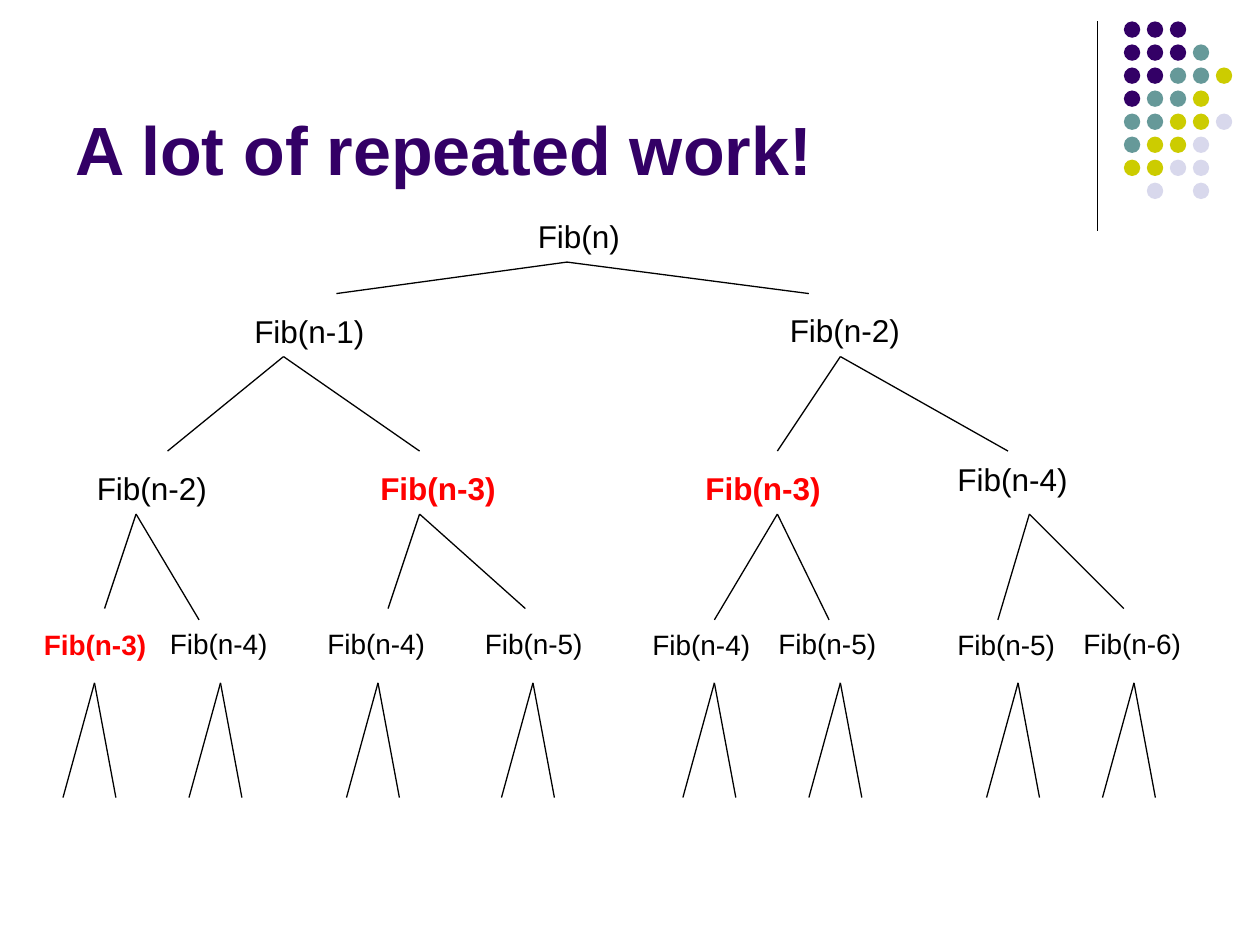
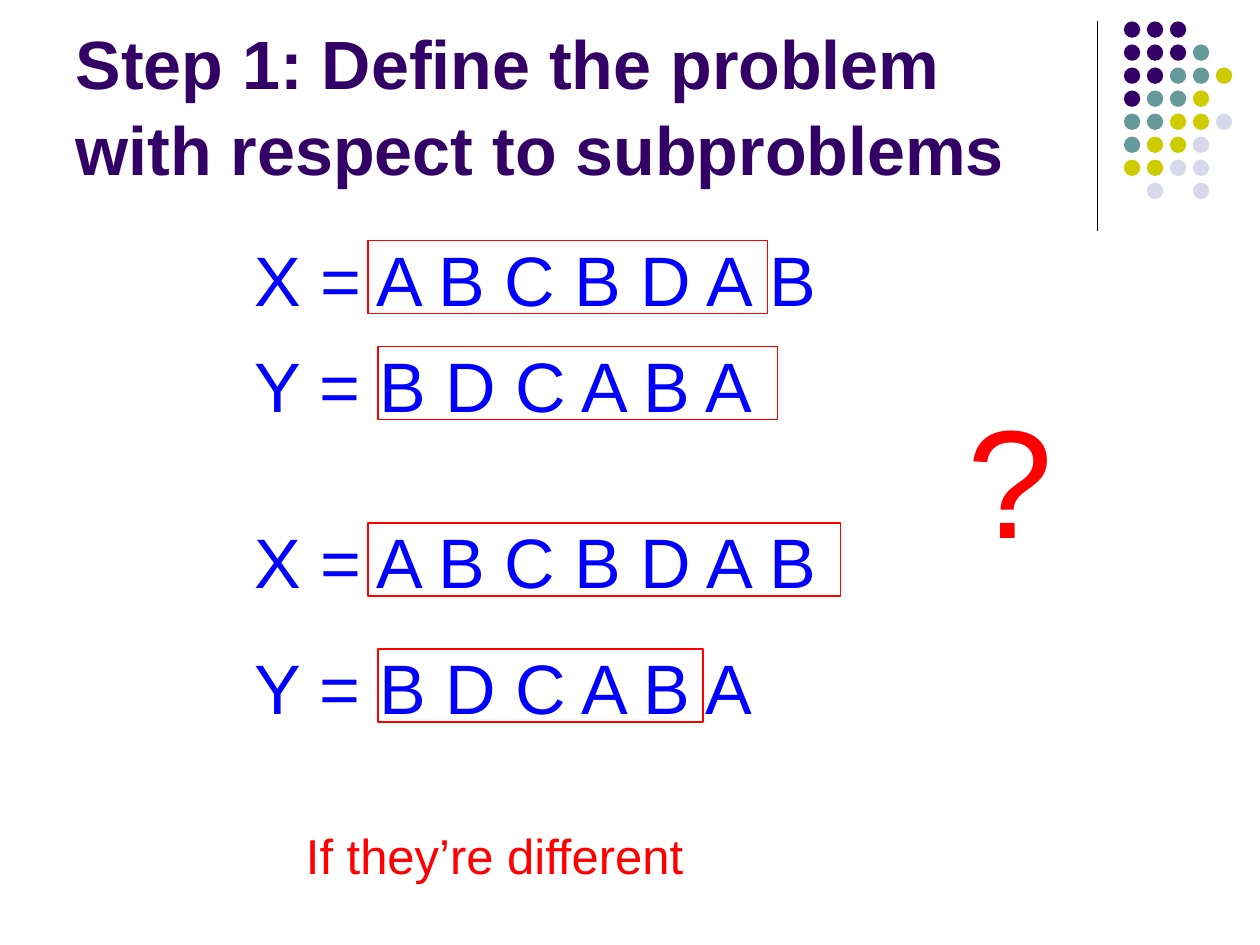
import collections

import pptx
import pptx.dml.color
import pptx.enum.shapes
import pptx.enum.text
import pptx.oxml
import pptx.oxml.ns
import pptx.util

Inches = pptx.util.Inches
Box = collections.namedtuple("Box", "left top width height")
Node = collections.namedtuple("Node", "left top apex branches")

FONT = "Arial"
COLORS = {
    "purple": "330066",
    "teal": "669999",
    "olive": "CCCC00",
    "lavender": "D8D8EC",
    "black": "000000",
    "red": "FF0000",
    "blue": "0000FF",
}
TITLE_BOX = Box(0.5, 0.13, 8.25, 1.42)
DIVIDER_BOX = Box(8.71, 0.17, 0, 1.66)
DOTS_BOX = Box(8.92, 0.17, 0.86, 1.41)
TREE_BOX = Box(0.25, 1.67, 9.25, 4.66)
FIRST_PAIR_BOX = Box(1.92, 1.83, 5.17, 1.61)
SECOND_PAIR_BOX = Box(1.92, 4.07, 5.17, 1.77)

DOT_SIZE = 0.13
DOT_COLORS = {"p": "purple", "t": "teal", "o": "olive", "l": "lavender"}
DOT_ROWS = ["ppp", "pppt", "pptto", "ptto", "ttool", "tool", "ooll", " l l"]

REPEATED_OFFSET = 3
APEX_TOPS = [0.41, 1.16, 2.41, 3.75]
LEAF_BRANCHES = [(-0.25, 0.91), (0.17, 0.91)]
LEAF_PLACES = [
    (0, 3.26, 0.5), (1, 3.25, 1.5), (2.25, 3.25, 2.75), (3.5, 3.25, 3.98),
    (4.83, 3.26, 5.42), (5.83, 3.25, 6.42), (7.25, 3.26, 7.83), (8.25, 3.25, 8.75),
]
TREE_LEVELS = [
    [Node(3.92, 0, 4.25, [(-1.83, 0.25), (1.92, 0.25)])],
    [
        Node(1.67, 0.76, 2, [(-0.92, 0.75), (1.08, 0.75)]),
        Node(5.92, 0.75, 6.42, [(-0.5, 0.75), (1.33, 0.75)]),
    ],
    [
        Node(0.42, 2, 0.83, [(-0.25, 0.75), (0.5, 0.84)]),
        Node(2.67, 2, 3.08, [(-0.25, 0.75), (0.84, 0.75)]),
        Node(5.25, 2, 5.92, [(-0.5, 0.84), (0.41, 0.84)]),
        Node(7.25, 1.93, 7.92, [(-0.25, 0.84), (0.75, 0.75)]),
    ],
    [Node(*place, LEAF_BRANCHES) for place in LEAF_PLACES],
]


def rgb(name):
    """Return the named colour as an RGB value."""
    return pptx.dml.color.RGBColor.from_string(COLORS[name])


def place(shape, box):
    """Move and size a shape to a box given in inches."""
    shape.left, shape.top, shape.width, shape.height = map(Inches, box)


def write_text(text_frame, text, size=18, color="black", bold=False, line_spacing=None):
    """Write one left-aligned, wrapped paragraph into a text frame."""
    text_frame.word_wrap = True
    paragraph = text_frame.paragraphs[0]
    paragraph.alignment = pptx.enum.text.PP_ALIGN.LEFT
    paragraph.line_spacing = line_spacing
    run = paragraph.add_run()
    run.text = text
    run.font.name = FONT
    run.font.size = pptx.util.Pt(size)
    run.font.bold = bold
    run.font.color.rgb = rgb(color)


def add_label(slide, box, text, **text_format):
    """Add a text box with formatted text."""
    shape = slide.shapes.add_textbox(*map(Inches, box))
    write_text(shape.text_frame, text, **text_format)


def add_line(slide, start, end):
    """Add a thin black line without a shadow."""
    connector = slide.shapes.add_connector(
        pptx.enum.shapes.MSO_CONNECTOR.STRAIGHT, *map(Inches, (*start, *end))
    )
    connector.line.color.rgb = rgb("black")
    connector.line.width = pptx.util.Pt(0.75)
    properties = connector.element.find(pptx.oxml.ns.qn("p:spPr"))
    properties.append(pptx.oxml.parse_xml(
        f'<a:effectLst {pptx.oxml.ns.nsdecls("a")}/>'
    ))
    return connector


def add_dot(slide, box, color):
    """Add a filled circle without an outline."""
    dot = slide.shapes.add_shape(pptx.enum.shapes.MSO_SHAPE.OVAL, *map(Inches, box))
    dot.shadow.inherit = False
    dot.fill.solid()
    dot.fill.fore_color.rgb = rgb(color)
    dot.line.fill.background()
    return dot


def add_frame(slide, box):
    """Add an unfilled red rectangle."""
    frame = slide.shapes.add_shape(
        pptx.enum.shapes.MSO_SHAPE.RECTANGLE, *map(Inches, box)
    )
    frame.shadow.inherit = False
    frame.fill.background()
    frame.line.color.rgb = rgb("red")
    frame.line.width = pptx.util.Pt(0.75)


def draw_dots(slide, box):
    """Draw the grid of coloured dots and return its shapes."""
    column_pitch = (box.width - DOT_SIZE) / (max(map(len, DOT_ROWS)) - 1)
    row_pitch = (box.height - DOT_SIZE) / (len(DOT_ROWS) - 1)
    return [
        add_dot(
            slide,
            Box(box.left + column * column_pitch, box.top + row * row_pitch,
                DOT_SIZE, DOT_SIZE),
            DOT_COLORS[letter],
        )
        for row, letters in enumerate(DOT_ROWS)
        for column, letter in enumerate(letters)
        if letter != " "
    ]


def decorate_layout(layout, slide):
    """Place the title, divider and dots on the layout, drawing through a slide."""
    place(layout.placeholders[0], TITLE_BOX)
    left, top, width, height = DIVIDER_BOX
    divider = add_line(slide, (left, top), (left + width, top + height))
    for shape in [divider, *draw_dots(slide, DOTS_BOX)]:
        layout.shapes.element.append(shape.element)


def fill_title(slide, text):
    """Fill the title placeholder at the bottom of its box."""
    text_frame = slide.shapes.title.text_frame
    text_frame.vertical_anchor = pptx.enum.text.MSO_ANCHOR.BOTTOM
    text_frame.auto_size = pptx.enum.text.MSO_AUTO_SIZE.NONE
    write_text(text_frame, text, size=39, color="purple", bold=True, line_spacing=1.05)


def draw_node(slide, box, node, level, offset):
    """Draw one call of the tree and the two branches below it."""
    is_leaf = level == len(TREE_LEVELS) - 1
    is_repeated = offset == REPEATED_OFFSET
    if is_leaf:
        width, height, size = 1.08 if is_repeated else 1, 0.37, 16
    else:
        width, height, size = 1.33 if offset else 1, 0.4, 18
    add_label(
        slide,
        Box(box.left + node.left, box.top + node.top, width, height),
        f"Fib(n-{offset})" if offset else "Fib(n)",
        size=size,
        color="red" if is_repeated else "black",
        bold=is_repeated,
    )
    apex = (box.left + node.apex, box.top + APEX_TOPS[level])
    for across, down in node.branches:
        add_line(slide, apex, (apex[0] + across, apex[1] + down))


def draw_tree(slide, box):
    """Draw the call tree, where each call makes the calls one and two below it."""
    offsets = [0]
    for level, nodes in enumerate(TREE_LEVELS):
        for node, offset in zip(nodes, offsets):
            draw_node(slide, box, node, level, offset)
        offsets = [offset + step for offset in offsets for step in (1, 2)]


def draw_sequence_pair(slide, box, x_frame_width, y_frame_width):
    """Draw sequences X and Y at the top and bottom of a box with framed prefixes."""
    row_height = 0.77
    rows = [
        ("X = A B C B D A B", box.top, 4.83, 1, x_frame_width),
        ("Y = B D C A B A", box.top + box.height - row_height, box.width, 1.08,
         y_frame_width),
    ]
    for text, top, width, frame_indent, frame_width in rows:
        add_label(slide, Box(box.left, top, width, row_height), text,
                  size=40, color="blue")
        add_frame(slide, Box(box.left + frame_indent, top + 0.08, frame_width, 0.58))


def build_tree_slide(slide):
    """Build the slide with the tree of repeated calls."""
    fill_title(slide, "A lot of repeated work!")
    draw_tree(slide, TREE_BOX)


def build_subproblem_slide(slide):
    """Build the slide comparing two choices of prefixes."""
    fill_title(slide, "Step 1: Define the problem with respect to subproblems")
    draw_sequence_pair(slide, FIRST_PAIR_BOX, 3.17, 3.17)
    draw_sequence_pair(slide, SECOND_PAIR_BOX, 3.75, 2.58)
    add_label(slide, Box(2.33, 6.5, 3.58, 0.57), "If they’re different",
              size=28, color="red")
    add_label(slide, Box(7.58, 3, 2, 1.57), "?", size=88, color="red")


def main():
    """Build and save the presentation."""
    presentation = pptx.Presentation()
    presentation.slide_width = Inches(10)
    presentation.slide_height = Inches(7.5)
    layout = presentation.slide_layouts.get_by_name("Title Only")
    tree_slide = presentation.slides.add_slide(layout)
    decorate_layout(layout, tree_slide)
    build_tree_slide(tree_slide)
    build_subproblem_slide(presentation.slides.add_slide(layout))
    presentation.save("out.pptx")


if __name__ == "__main__":
    main()
